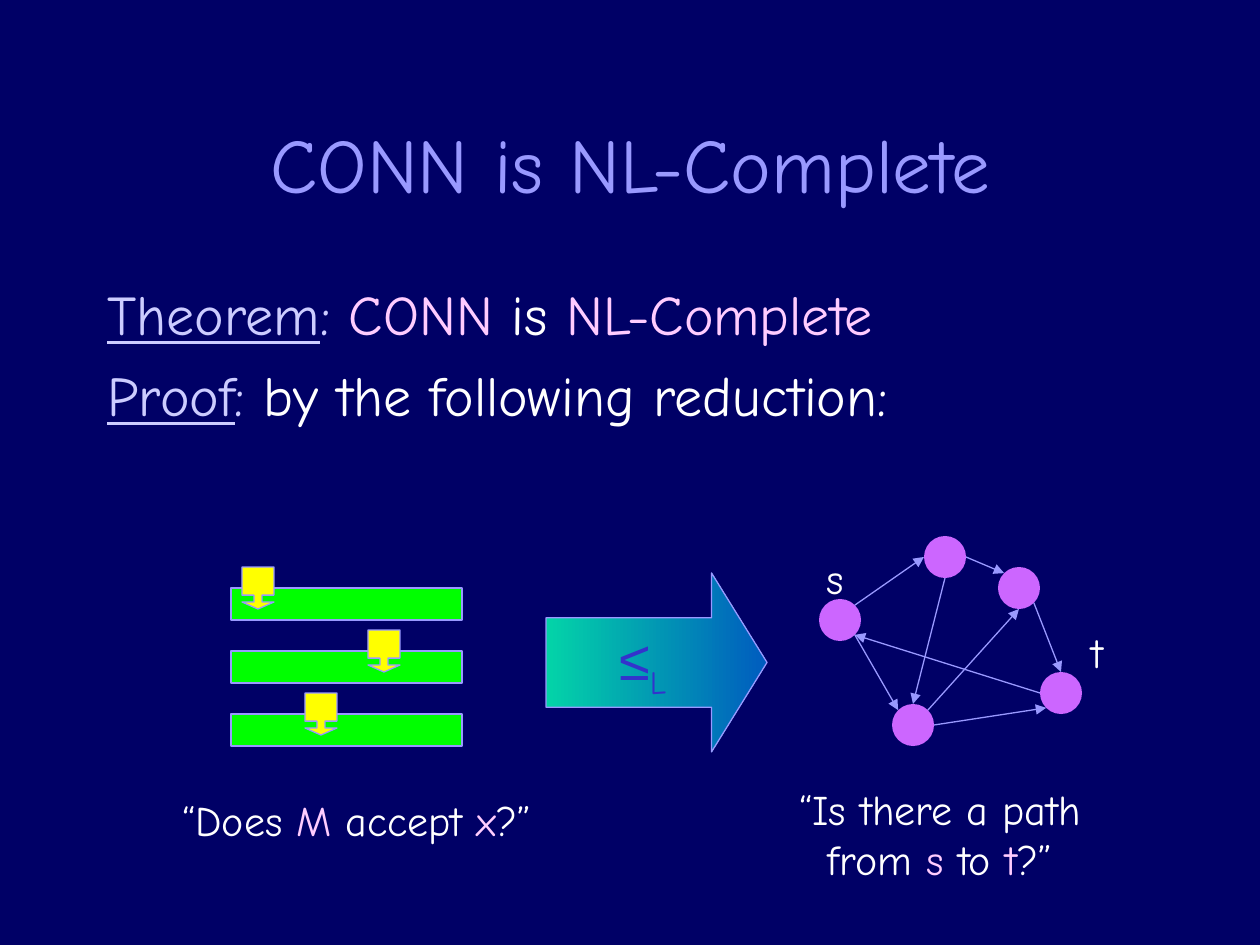
"""Builds the slide on the NL-completeness of CONN."""
import math
import pptx
import pptx.util
import pptx.dml.color
import pptx.enum.dml
import pptx.enum.shapes
import pptx.enum.text
import pptx.oxml

THEME = {
    "font": "Comic Neue", "math": "Arial",
    "back": "000066", "line": "9999FF", "title": "9999FF", "head": "CCCCFF",
    "text": "FFFFFF", "term": "FFCCFF", "sign": "3333CC", "tape": "00FF00",
    "mark": "FFFF00", "node": "CC66FF", "from": "03D4A8", "to": "005CBF",
    "big": 44, "body": 32, "small": 24, "width": 0.75,
}

TITLE = [[("CONN is NL-Complete", "title")]]
BODY = [
    [("Theorem", "head", "under"), (": ", "head"), ("CONN", "term"),
     (" is ", "text"), ("NL-Complete", "term")],
    [("Proof", "head", "under"), (":", "head"),
     (" by the following reduction:", "text")],
]
SIGN = [[("≤", "sign", "math"), ("L", "sign", "sub")]]
NOTES = [
    ((809, 546, 53, 63), [[("s", "text")]]),
    ((1071, 620, 53, 63), [[("t", "text")]]),
    ((105, 788, 504, 63), [[("“Does ", "text"), ("M", "term"),
                            (" accept ", "text"), ("x", "term"), ("?”", "text")]]),
    ((756, 777, 368, 113), [[("“Is there a path from ", "text"), ("s", "term"),
                             (" to ", "text"), ("t", "term"), ("?”", "text")]]),
]
HEADS = [242, 368, 305]
NODES = {"s": (840, 620), "low": (913, 725), "top": (945, 557),
         "right": (1019, 588), "t": (1061, 693)}
EDGES = [
    ("s", "SE", "low", "NW"), ("top", "S", "low", "N"),
    ("s", "NE", "top", "W"), ("right", "SE", "t", "N"),
    ("low", "E", "t", "SW"), ("t", "W", "s", "SE"),
    ("top", "E", "right", "NW"), ("low", "NE", "right", "S"),
]
SIDES = ["E", "SE", "S", "SW", "W", "NW", "N", "NE"]
RADIUS = 21
KIND = pptx.enum.shapes.MSO_SHAPE
ALIGN = pptx.enum.text.PP_ALIGN
ANCHOR = pptx.enum.text.MSO_ANCHOR
SPACE = "http://schemas.openxmlformats.org/drawingml/2006/main"


def px(count):
    return pptx.util.Emu(round(count * 914400 / 126))


def tint(name):
    return pptx.dml.color.RGBColor.from_string(THEME[name])


def write(frame, paras, size="small", align=ALIGN.CENTER, anchor=ANCHOR.TOP,
          gap=0, hang=0):
    frame.word_wrap = True
    frame.vertical_anchor = anchor
    for num, runs in enumerate(paras):
        para = frame.paragraphs[0] if num == 0 else frame.add_paragraph()
        para.alignment = align
        if num:
            para.space_before = pptx.util.Pt(gap)
        if hang:
            props = para._p.get_or_add_pPr()
            props.set("marL", str(px(hang)))
            props.set("indent", str(-px(hang)))
        for words, color, *marks in runs:
            run = para.add_run()
            run.text = words
            run.font.size = pptx.util.Pt(THEME[size])
            run.font.name = THEME["math" if "math" in marks else "font"]
            run.font.color.rgb = tint(color)
            if "under" in marks:
                run.font.underline = True
            if "sub" in marks:
                run._r.get_or_add_rPr().set("baseline", "-25000")


def label(slide, box, paras, **form):
    write(slide.shapes.add_textbox(*map(px, box)).text_frame, paras, **form)


def draw(slide, kind, box, fill=None, edge=True, adjust=()):
    shape = slide.shapes.add_shape(kind, *map(px, box))
    shape.shadow.inherit = False
    for num, value in enumerate(adjust):
        shape.adjustments[num] = value
    if fill:
        shape.fill.solid()
        shape.fill.fore_color.rgb = tint(fill)
    if edge:
        shape.line.color.rgb = tint("line")
        shape.line.width = pptx.util.Pt(THEME["width"])
    else:
        shape.line.fill.background()
    return shape


def rim(node, side):
    x, y = NODES[node]
    turn = SIDES.index(side) * math.pi / 4
    return px(x + RADIUS * math.cos(turn)), px(y + RADIUS * math.sin(turn))


def link(slide, start, out, end, into):
    line = slide.shapes.add_connector(
        pptx.enum.shapes.MSO_CONNECTOR.STRAIGHT, *rim(start, out), *rim(end, into))
    line.line.color.rgb = tint("line")
    line.line.width = pptx.util.Pt(THEME["width"])
    line.line._get_or_add_ln().append(
        pptx.oxml.parse_xml(f'<a:tailEnd xmlns:a="{SPACE}" type="triangle"/>'))
    line._element.spPr.append(
        pptx.oxml.parse_xml(f'<a:effectLst xmlns:a="{SPACE}"/>'))


def tapes(slide):
    for row in range(len(HEADS)):
        draw(slide, KIND.RECTANGLE, (231, 588 + 63 * row, 231, 32), "tape")
    for row, left in enumerate(HEADS):
        draw(slide, KIND.DOWN_ARROW_CALLOUT, (left, 567 + 63 * row, 32, 42),
             "mark", adjust=(0.25, 0.5, 0.22, 0.67))


def arrow(slide):
    shape = draw(slide, KIND.RIGHT_ARROW, (546, 573, 221, 179),
                 adjust=(0.5, 0.31))
    shape.fill.gradient()
    shape.fill.gradient_angle = 0
    for stop, place, name in zip(shape.fill.gradient_stops, (0, 1), ("from", "to")):
        stop.position = place
        stop.color.rgb = tint(name)
    write(shape.text_frame, SIGN, size="body", anchor=ANCHOR.MIDDLE)


def graph(slide):
    for x, y in NODES.values():
        draw(slide, KIND.OVAL, (x - RADIUS, y - RADIUS, 2 * RADIUS, 2 * RADIUS),
             "node", edge=False)
    for edge in EDGES:
        link(slide, *edge)


def main():
    deck = pptx.Presentation()
    deck.slide_width, deck.slide_height = px(1260), px(945)
    slide = deck.slides.add_slide(deck.slide_layouts[6])
    slide.background.fill.solid()
    slide.background.fill.fore_color.rgb = tint("back")
    label(slide, (95, 84, 1071, 158), TITLE, size="big", anchor=ANCHOR.MIDDLE)
    label(slide, (95, 273, 1071, 231), BODY, size="body", align=ALIGN.LEFT,
          gap=8, hang=47)
    tapes(slide)
    arrow(slide)
    graph(slide)
    for box, paras in NOTES:
        label(slide, box, paras)
    deck.save("out.pptx")


if __name__ == "__main__":
    main()
